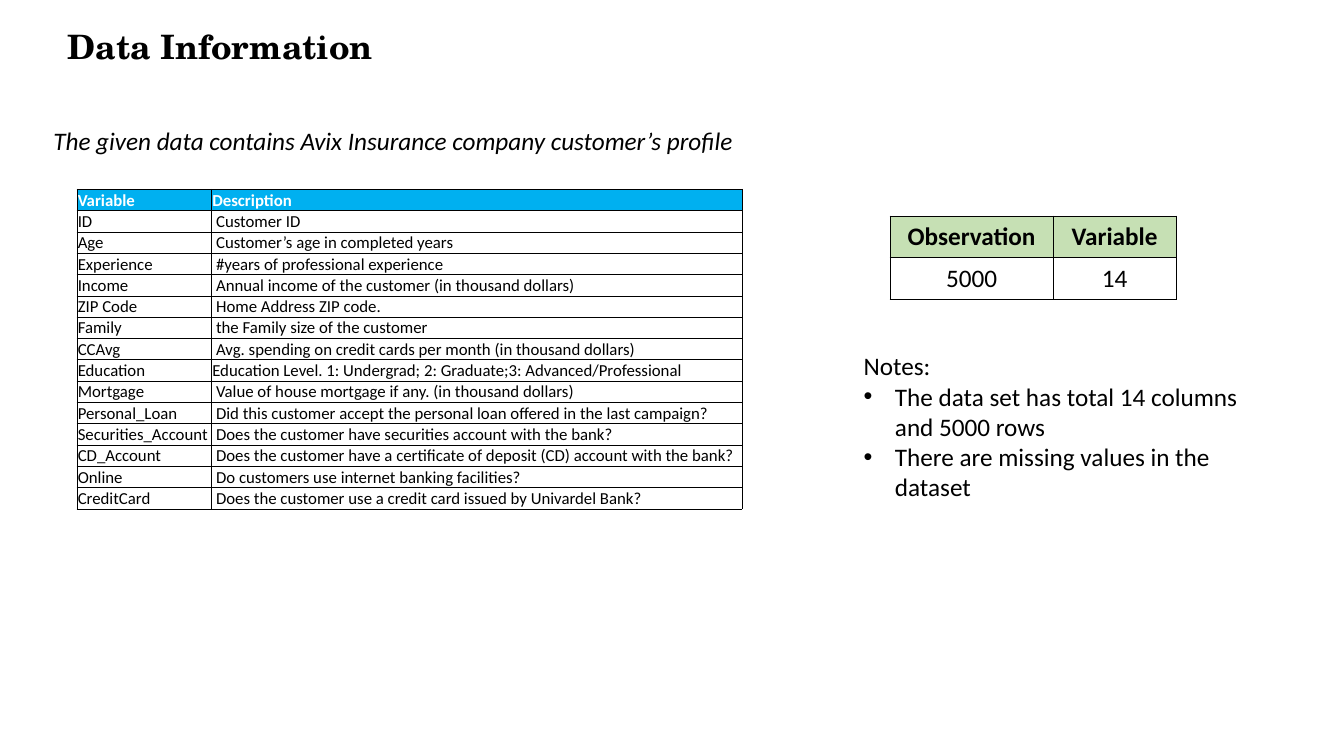
import pptx
import pptx.dml.color
import pptx.enum.text
import pptx.oxml
import pptx.oxml.ns
import pptx.util

Cm = pptx.util.Cm
Pt = pptx.util.Pt
Align = pptx.enum.text.PP_ALIGN
Anchor = pptx.enum.text.MSO_ANCHOR

TITLE = "Data Information"
SUBTITLE = "The given data contains Avix Insurance company customer’s profile"
NOTES_HEADING = "Notes:"
NOTES = [
    "The data set has total 14 columns and 5000 rows",
    "There are missing values in the dataset",
]
VARIABLES = [
    ("Variable", "Description"),
    ("ID", " Customer ID"),
    ("Age", " Customer’s age in completed years"),
    ("Experience", " #years of professional experience"),
    ("Income", " Annual income of the customer (in thousand dollars)"),
    ("ZIP Code", " Home Address ZIP code."),
    ("Family", " the Family size of the customer"),
    ("CCAvg", " Avg. spending on credit cards per month (in thousand dollars)"),
    ("Education", "Education Level. 1: Undergrad; 2: Graduate;3: Advanced/Professional"),
    ("Mortgage", " Value of house mortgage if any. (in thousand dollars)"),
    ("Personal_Loan", " Did this customer accept the personal loan offered in the last campaign?"),
    ("Securities_Account", " Does the customer have securities account with the bank?"),
    ("CD_Account", " Does the customer have a certificate of deposit (CD) account with the bank?"),
    ("Online", " Do customers use internet banking facilities?"),
    ("CreditCard", " Does the customer use a credit card issued by Univardel Bank?"),
]
SUMMARY = [("Observation", "Variable"), ("5000", "14")]
COLORS = {"text": "000000", "light": "FFFFFF", "blue": "00B0F0", "green": "C6E0B4"}
BODY_FONT = "Calibri"
TITLE_FONT = "TeX Gyre Schola"
BULLET_INDENT = Cm(0.79)


def rgb(name):
    return pptx.dml.color.RGBColor.from_string(COLORS[name])


def add_run(paragraph, text, size, font=BODY_FONT, color="text", bold=False, italic=False):
    run = paragraph.add_run()
    run.text = text
    run.font.name = font
    run.font.size = Pt(size)
    run.font.bold = bold
    run.font.italic = italic
    run.font.color.rgb = rgb(color)


def place(shape, left, top, width, height):
    shape.left, shape.top = Cm(left), Cm(top)
    shape.width, shape.height = Cm(width), Cm(height)
    frame = shape.text_frame
    frame.word_wrap = True
    frame.auto_size = pptx.enum.text.MSO_AUTO_SIZE.NONE
    frame.vertical_anchor = Anchor.TOP
    return frame


def format_paragraph(paragraph, bulleted=False):
    paragraph.alignment = Align.LEFT
    paragraph.space_before = Pt(0)
    properties = paragraph._p.get_or_add_pPr()
    indent = BULLET_INDENT if bulleted else 0
    properties.set("marL", str(indent))
    properties.set("indent", str(-indent))
    bullet = 'a:buChar {} char="•"' if bulleted else "a:buNone {}"
    namespace = pptx.oxml.ns.nsdecls("a")
    properties.append(pptx.oxml.parse_xml(f"<{bullet.format(namespace)}/>"))


def add_borders(cell):
    properties = cell._tc.get_or_add_tcPr()
    for side in ("lnL", "lnR", "lnT", "lnB"):
        properties.append(pptx.oxml.parse_xml(
            f'<a:{side} {pptx.oxml.ns.nsdecls("a")} w="{Pt(0.5)}"><a:solidFill>'
            f'<a:srgbClr val="{COLORS["text"]}"/></a:solidFill></a:{side}>'))


def add_grid(slide, rows, left, top, widths, height, size, header_fill, header_color, alignment):
    table = slide.shapes.add_table(
        len(rows), len(widths), Cm(left), Cm(top), Cm(sum(widths)), Cm(height)).table
    table.horz_banding = False
    for column, width in zip(table.columns, widths):
        column.width = Cm(width)
    for row_index, values in enumerate(rows):
        is_header = row_index == 0
        table.rows[row_index].height = Cm(height / len(rows))
        for column_index, value in enumerate(values):
            cell = table.cell(row_index, column_index)
            cell.margin_left = cell.margin_right = cell.margin_top = Cm(0.02)
            cell.margin_bottom = 0
            cell.vertical_anchor = Anchor.MIDDLE
            add_borders(cell)
            if is_header:
                cell.fill.solid()
                cell.fill.fore_color.rgb = rgb(header_fill)
            else:
                cell.fill.background()
            paragraph = cell.text_frame.paragraphs[0]
            paragraph.alignment = alignment
            add_run(paragraph, value, size, bold=is_header,
                    color=header_color if is_header else "text")


def main():
    presentation = pptx.Presentation()
    presentation.slide_width = Cm(33.87)
    presentation.slide_height = Cm(19.05)
    slide = presentation.slides.add_slide(presentation.slide_layouts.get_by_name("Two Content"))
    title, subtitle, notes = slide.placeholders

    paragraph = place(title, 1.45, 0.53, 18.72, 1.27).paragraphs[0]
    format_paragraph(paragraph)
    add_run(paragraph, TITLE, 24, font=TITLE_FONT, bold=True)

    paragraph = place(subtitle, 1.09, 3.02, 30.96, 1.02).paragraphs[0]
    format_paragraph(paragraph)
    add_run(paragraph, SUBTITLE, 18, italic=True)

    frame = place(notes, 21.51, 8.71, 10.54, 4.88)
    for index, text in enumerate([NOTES_HEADING] + NOTES):
        paragraph = frame.add_paragraph() if index else frame.paragraphs[0]
        format_paragraph(paragraph, bulleted=index > 0)
        add_run(paragraph, text, 18)

    add_grid(slide, SUMMARY, 22.43, 5.44, (4.11, 3.1), 2.1, 18, "green", "text", Align.CENTER)
    add_grid(slide, VARIABLES, 1.94, 4.77, (3.39, 13.37), 7.88, 12, "blue", "light", Align.LEFT)
    presentation.save("out.pptx")


if __name__ == "__main__":
    main()
